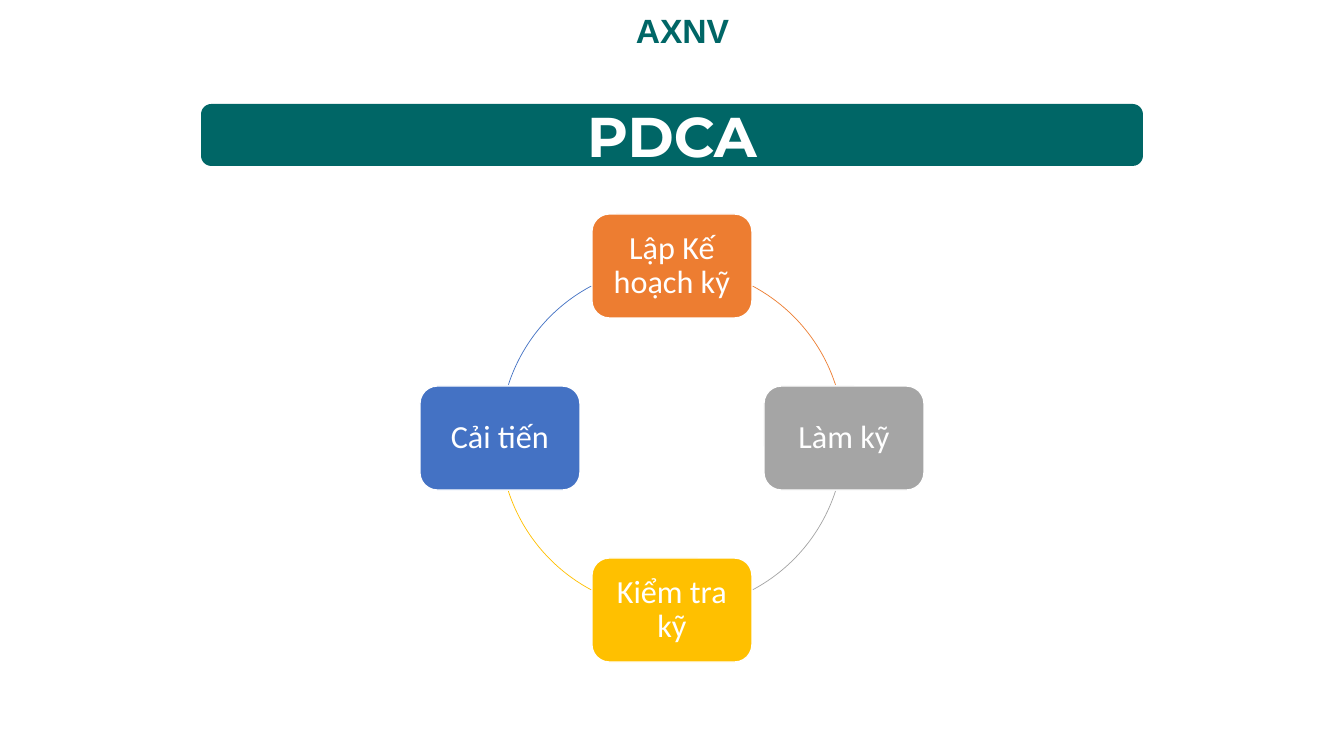
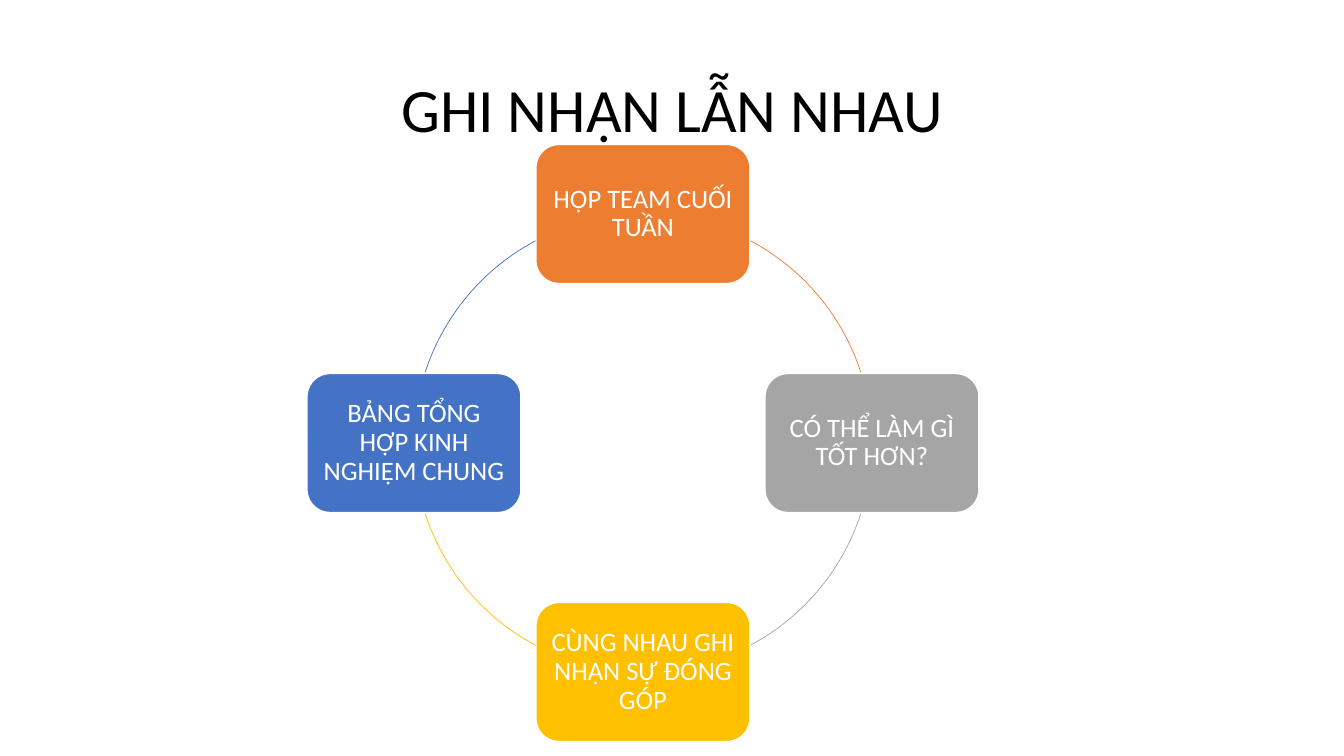
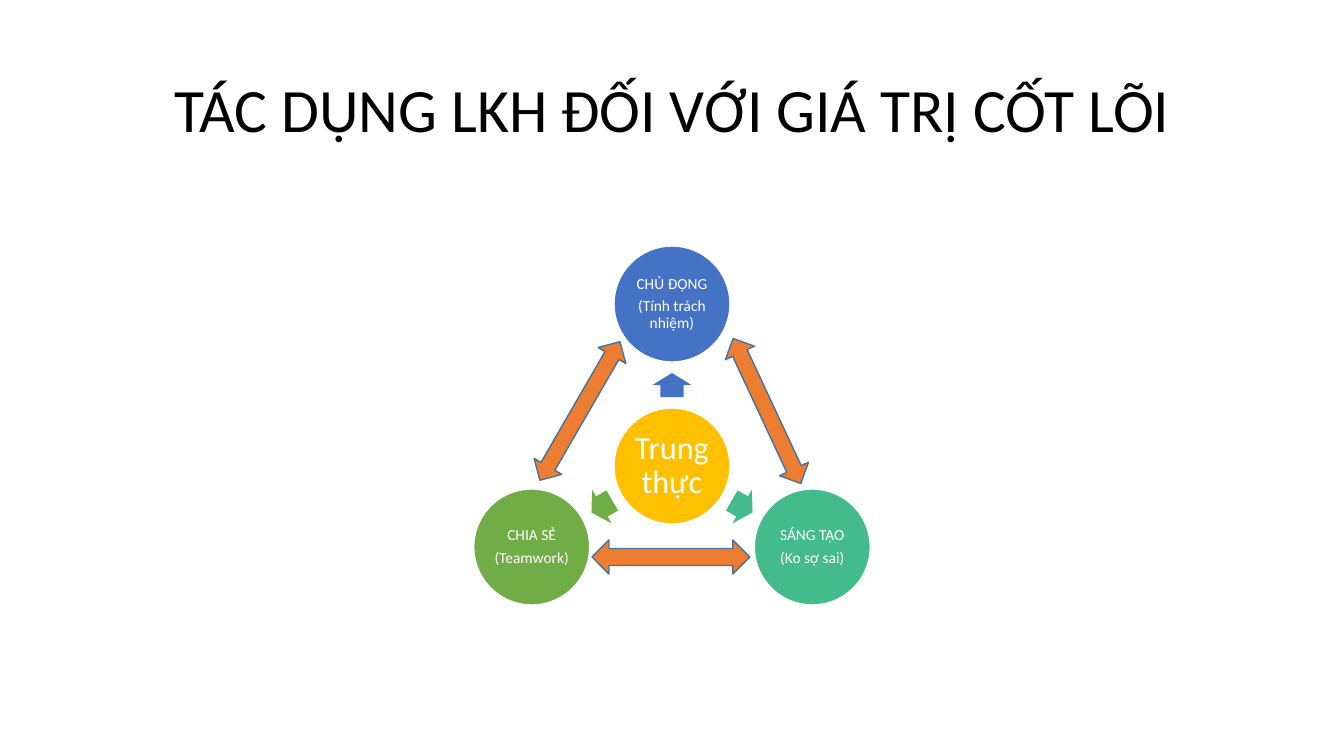
from math import cos, radians, sin

from pptx import Presentation
from pptx.dml.color import RGBColor
from pptx.enum.shapes import MSO_SHAPE
from pptx.enum.text import MSO_ANCHOR, PP_ALIGN
from pptx.util import Pt

PX = 914400 / 100.8  # EMU in one px

TEAL = RGBColor(0x00, 0x66, 0x66)
WHITE = RGBColor(0xFF, 0xFF, 0xFF)
BLACK = RGBColor(0x00, 0x00, 0x00)
ORANGE = RGBColor(0xED, 0x7D, 0x31)
GRAY = RGBColor(0xA5, 0xA5, 0xA5)
GOLD = RGBColor(0xFF, 0xC0, 0x00)
BLUE = RGBColor(0x44, 0x72, 0xC4)
MINT = RGBColor(0x43, 0xBB, 0x8D)
GREEN = RGBColor(0x70, 0xAD, 0x47)
STEEL = RGBColor(0x43, 0x73, 0x9E)

ROUNDED, OVAL, ARC = MSO_SHAPE.ROUNDED_RECTANGLE, MSO_SHAPE.OVAL, MSO_SHAPE.ARC
RIGHT_ARROW = MSO_SHAPE.RIGHT_ARROW
VERTICAL_ARROW = MSO_SHAPE.UP_DOWN_ARROW
HORIZONTAL_ARROW = MSO_SHAPE.LEFT_RIGHT_ARROW
CENTER, MIDDLE, TOP = PP_ALIGN.CENTER, MSO_ANCHOR.MIDDLE, MSO_ANCHOR.TOP


def write(shape, text, size, font="Calibri", color=WHITE, bold=False,
          margin=None, spacing=0.9, after=0, anchor=MIDDLE, wrap=True):
    """Fill a shape with centred text, one paragraph per line."""
    frame = shape.text_frame
    frame.word_wrap = wrap
    frame.vertical_anchor = anchor
    if margin is not None:
        frame.margin_left = frame.margin_right = round(margin * PX)
        frame.margin_top = frame.margin_bottom = round(margin * PX)
    frame.text = text
    for paragraph in frame.paragraphs:
        paragraph.alignment = CENTER
        paragraph.line_spacing = spacing
        paragraph.space_after = Pt(after)
        face = paragraph.runs[0].font
        face.name, face.size, face.bold = font, Pt(size), bold
        face.color.rgb = color


def draw(slide, kind, center_x, center_y, width, height,
         fill=None, line=None, weight=1, turn=0):
    """Add a preset shape around a centre point."""
    shape = slide.shapes.add_shape(
        kind, round((center_x - width / 2) * PX), round((center_y - height / 2) * PX),
        round(width * PX), round(height * PX))
    shape.shadow.inherit = False
    shape.rotation = turn
    if fill is None:
        shape.fill.background()
    else:
        shape.fill.solid()
        shape.fill.fore_color.rgb = fill
    if line is None:
        shape.line.fill.background()
    else:
        shape.line.color.rgb = line
        shape.line.width = Pt(weight)
    return shape


deck = Presentation()
deck.slide_width, deck.slide_height = round(1344 * PX), round(756 * PX)
pdca, recognition, values = [deck.slides.add_slide(deck.slide_layouts[6])
                             for _ in range(3)]

# Heading of the PDCA slide
band = draw(pdca, ROUNDED, 672, 135, 942, 62, fill=TEAL)
write(band, "PDCA", 40, font="Montserrat", bold=True, spacing=1)
company = pdca.shapes.add_textbox(*[round(n * PX) for n in (625, 5, 115, 50)])
write(company, "AXNV", 24, font="Arial", color=TEAL, bold=True, spacing=1,
      anchor=TOP, wrap=False)

# Shared titles
for slide, title in ((recognition, "GHI NHẬN LẪN NHAU"),
                     (values, "TÁC DỤNG LKH ĐỐI VỚI GIÁ TRỊ CỐT LÕI")):
    heading = slide.shapes.add_textbox(*[round(n * PX) for n in (93, 40, 1159, 146)])
    write(heading, title, 44, color=BLACK)

# Four-step cycles: clockwise from the top, each step followed by its arc
CYCLE_COLORS = (ORANGE, GRAY, GOLD, BLUE)
ARC_MIDDLES = (320, 40, 140, 220)
cycles = (
    (pdca, 672, 438, 172, 160, 104, 23, 10,
     ("Lập Kế hoạch kỹ", "Làm kỹ", "Kiểm tra kỹ", "Cải tiến")),
    (recognition, 643, 443, 229, 214, 139, 19, 8,
     ("HỌP TEAM CUỐI TUẦN", "CÓ THỂ LÀM GÌ TỐT HƠN?",
      "CÙNG NHAU GHI NHẬN SỰ ĐÓNG GÓP", "BẢNG TỔNG HỢP KINH NGHIỆM CHUNG")),
)
for slide, hub_x, hub_y, radius, width, height, size, margin, steps in cycles:
    for index, (label, color, middle) in enumerate(zip(steps, CYCLE_COLORS, ARC_MIDDLES)):
        angle = radians(90 * index - 90)
        step = draw(slide, ROUNDED, hub_x + radius * cos(angle),
                    hub_y + radius * sin(angle), width, height, fill=color, line=WHITE)
        write(step, label, size, margin=margin)
        arc = draw(slide, ARC, hub_x, hub_y, 2 * radius, 2 * radius,
                   line=color, weight=0.5)
        # Arc angles are stored in 60000ths of a degree, adjustments in 100000ths
        arc.adjustments[0] = (middle - 22) * 0.6
        arc.adjustments[1] = (middle + 22) * 0.6

# Core value and the three values around it
HUB_X, HUB_Y, REACH, DIAMETER = 672, 466, 162, 116
core = draw(values, OVAL, HUB_X, HUB_Y, DIAMETER, DIAMETER, fill=GOLD, line=WHITE)
write(core, "Trung thực", 23, margin=3)
for turn, color, label in ((270, BLUE, "CHỦ ĐỘNG\n(Tính trách nhiệm)"),
                           (30, MINT, "SÁNG TẠO\n(Ko sợ sai)"),
                           (150, GREEN, "CHIA SẺ\n(Teamwork)")):
    across, down = REACH * cos(radians(turn)), REACH * sin(radians(turn))
    pointer = draw(values, RIGHT_ARROW, HUB_X + across / 2, HUB_Y + down / 2,
                   24, 39, fill=color, turn=turn)
    pointer.adjustments[0] = 0.6
    value = draw(values, OVAL, HUB_X + across, HUB_Y + down, DIAMETER, DIAMETER,
                 fill=color, line=WHITE)
    write(value, label, 11, margin=2, after=4)

# Two-way arrows between the outer values
for kind, center_x, center_y, width, height, turn in (
        (VERTICAL_ARROW, 580, 411, 32, 160, 30),
        (VERTICAL_ARROW, 767, 411, 32, 160, 335),
        (HORIZONTAL_ARROW, 671, 557, 158, 34, 0)):
    draw(values, kind, center_x, center_y, width, height,
         fill=ORANGE, line=STEEL, turn=turn)

deck.save("out.pptx")
